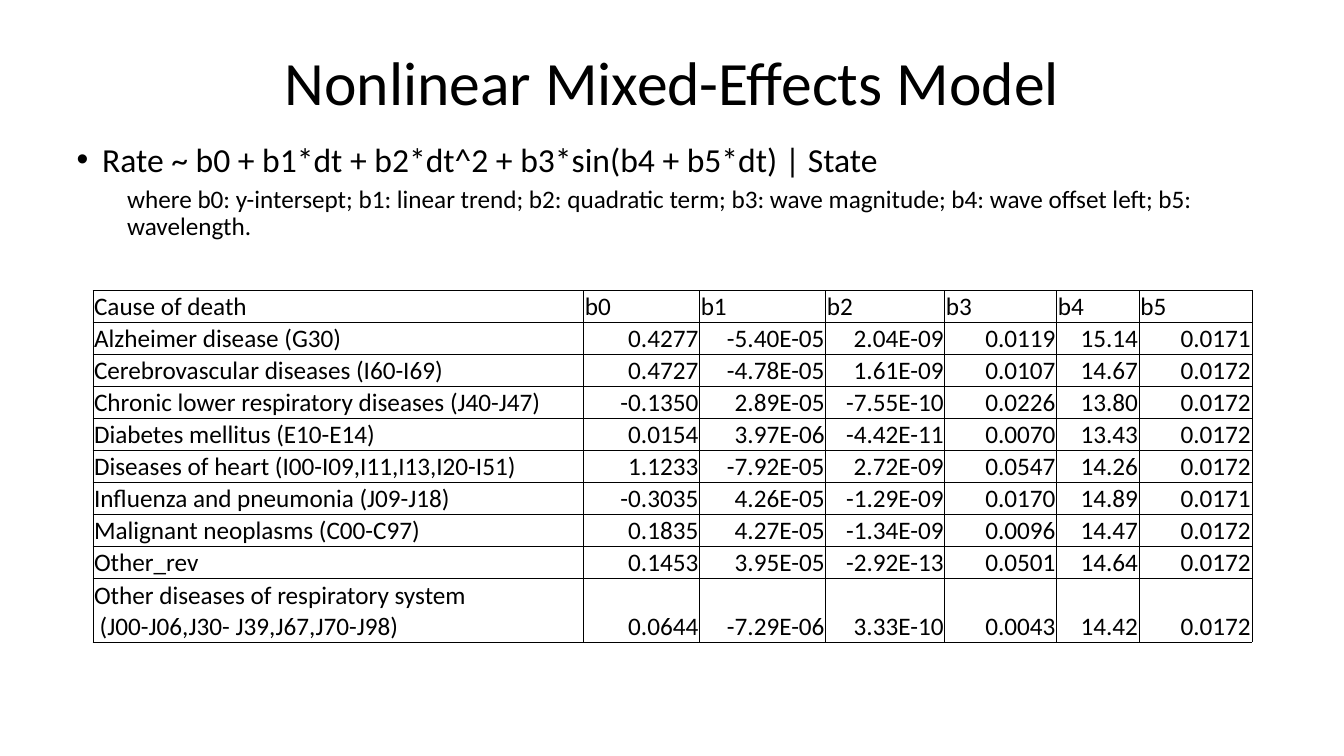
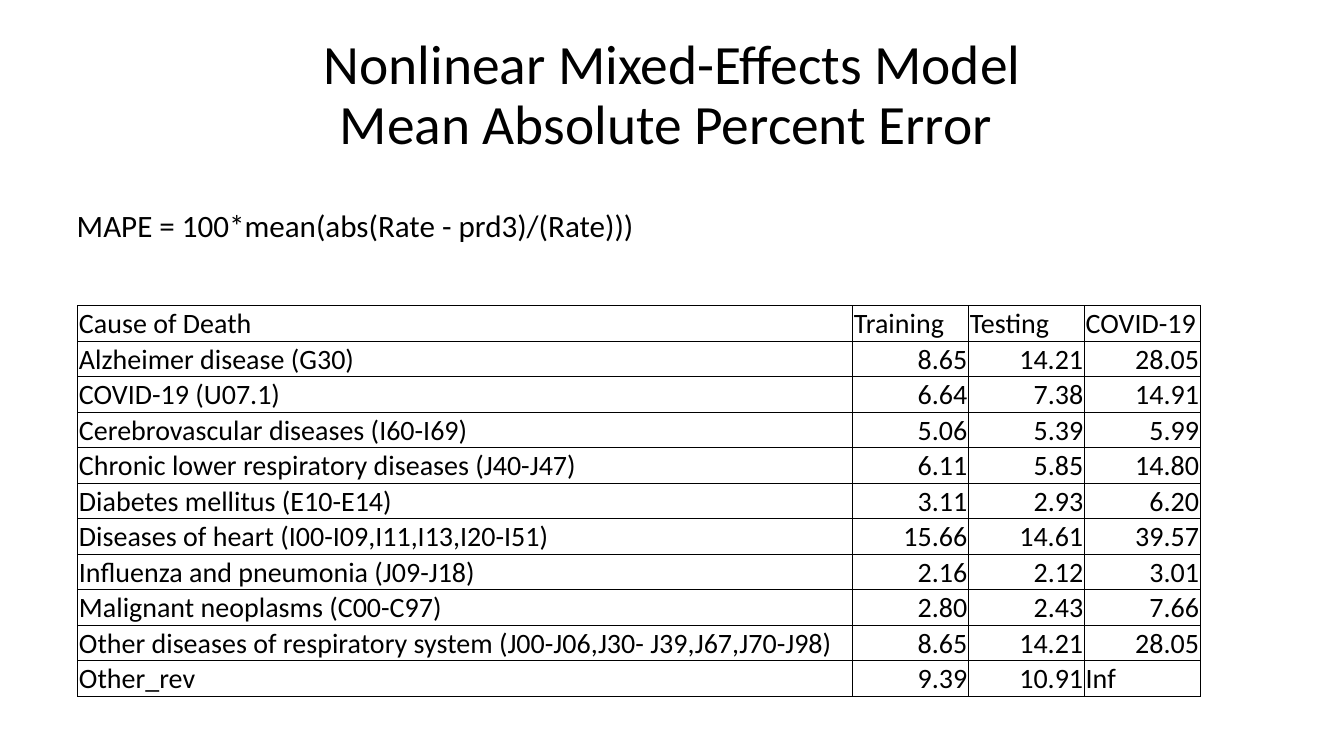
from dataclasses import dataclass

from lxml.etree import SubElement
from pptx import Presentation
from pptx.dml.color import RGBColor
from pptx.enum.text import MSO_ANCHOR as Anchor, MSO_AUTO_SIZE as AutoSize, PP_ALIGN as Align
from pptx.oxml import parse_xml
from pptx.oxml.ns import nsdecls, qn
from pptx.presentation import Presentation as Deck
from pptx.shapes.placeholder import SlidePlaceholder
from pptx.slide import Slide
from pptx.table import _Cell as Cell
from pptx.text.text import _Paragraph as Paragraph
from pptx.util import Cm, Pt


@dataclass(frozen=True)
class Theme:
    font: str = "Calibri"
    ink: str = "000000"
    title_size: float = 44
    long_title_size: float = 39.6
    bullet_size: float = 24
    formula_size: float = 22.2
    detail_size: float = 18
    wide_table_size: float = 18
    narrow_table_size: float = 20
    border_width: float = 0.5
    title_spacing: float = 0.9


THEME = Theme()


@dataclass(frozen=True)
class BodyLine:
    text: str
    size: float
    level: int = 0
    left: float = 0
    indent: float = 0
    bullet: str = ""
    line_spacing: float = 0.9
    space_before: float = 0


@dataclass(frozen=True)
class DataTable:
    left: float
    top: float
    columns: tuple[float, ...]
    line_height: float
    size: float
    rows: tuple[tuple[str, ...], ...]


@dataclass(frozen=True)
class ModelPage:
    title: str
    title_size: float
    title_height: float
    body_top: float
    body_height: float
    body: tuple[BodyLine, ...]
    table: DataTable


PAGES = (
    ModelPage(
        "Nonlinear Mixed-Effects Model", THEME.title_size, 2.29, 3.48, 3.18,
        (
            BodyLine("Rate ~ b0 + b1*dt + b2*dt^2 + b3*sin(b4 + b5*dt) | State",
                     THEME.bullet_size, left=0.64, indent=-0.64, bullet="•"),
            BodyLine("where b0: y-intersept; b1: linear trend; b2: quadratic term; "
                     "b3: wave magnitude; b4: wave offset left; b5: wavelength.",
                     THEME.detail_size, level=1, left=1.27, space_before=5),
        ),
        DataTable(2.34, 7.32, (12.37, 2.92, 3.18, 3, 2.82, 2.08, 2.84), 0.8, THEME.wide_table_size, (
            ("Cause of death", "b0", "b1", "b2", "b3", "b4", "b5"),
            ("Alzheimer disease (G30)",
             "0.4277", "-5.40E-05", "2.04E-09", "0.0119", "15.14", "0.0171"),
            ("Cerebrovascular diseases (I60-I69)",
             "0.4727", "-4.78E-05", "1.61E-09", "0.0107", "14.67", "0.0172"),
            ("Chronic lower respiratory diseases (J40-J47)",
             "-0.1350", "2.89E-05", "-7.55E-10", "0.0226", "13.80", "0.0172"),
            ("Diabetes mellitus (E10-E14)",
             "0.0154", "3.97E-06", "-4.42E-11", "0.0070", "13.43", "0.0172"),
            ("Diseases of heart (I00-I09,I11,I13,I20-I51)",
             "1.1233", "-7.92E-05", "2.72E-09", "0.0547", "14.26", "0.0172"),
            ("Influenza and pneumonia (J09-J18)",
             "-0.3035", "4.26E-05", "-1.29E-09", "0.0170", "14.89", "0.0171"),
            ("Malignant neoplasms (C00-C97)",
             "0.1835", "4.27E-05", "-1.34E-09", "0.0096", "14.47", "0.0172"),
            ("Other_rev",
             "0.1453", "3.95E-05", "-2.92E-13", "0.0501", "14.64", "0.0172"),
            ("Other diseases of respiratory system\n (J00-J06,J30- J39,J67,J70-J98)",
             "0.0644", "-7.29E-06", "3.33E-10", "0.0043", "14.42", "0.0172"),
        )),
    ),
    ModelPage(
        "Nonlinear Mixed-Effects Model\vMean Absolute Percent Error ",
        THEME.long_title_size, 2.82, 5.26, 1.07,
        (BodyLine("MAPE = 100*mean(abs(Rate - prd3)/(Rate)))",
                  THEME.formula_size, line_spacing=0.8),),
        DataTable(1.96, 7.7, (19.53, 2.92, 2.92, 2.92), 0.89, THEME.narrow_table_size, (
            ("Cause of Death", "Training", "Testing", "COVID-19"),
            ("Alzheimer disease (G30)", "8.65", "14.21", "28.05"),
            ("COVID-19 (U07.1)", "6.64", "7.38", "14.91"),
            ("Cerebrovascular diseases (I60-I69)", "5.06", "5.39", "5.99"),
            ("Chronic lower respiratory diseases (J40-J47)", "6.11", "5.85", "14.80"),
            ("Diabetes mellitus (E10-E14)", "3.11", "2.93", "6.20"),
            ("Diseases of heart (I00-I09,I11,I13,I20-I51)", "15.66", "14.61", "39.57"),
            ("Influenza and pneumonia (J09-J18)", "2.16", "2.12", "3.01"),
            ("Malignant neoplasms (C00-C97)", "2.80", "2.43", "7.66"),
            ("Other diseases of respiratory system (J00-J06,J30- J39,J67,J70-J98)",
             "8.65", "14.21", "28.05"),
            ("Other_rev", "9.39", "10.91", "Inf"),
        )),
    ),
)


def set_font(para: Paragraph, size: float) -> None:
    para.font.name = THEME.font
    para.font.size = Pt(size)
    para.font.color.rgb = RGBColor.from_string(THEME.ink)


def place(box: SlidePlaceholder, left: float, top: float, width: float, height: float) -> None:
    box.left, box.top, box.width, box.height = Cm(left), Cm(top), Cm(width), Cm(height)
    box.text_frame.word_wrap = True
    box.text_frame.auto_size = AutoSize.NONE


def add_title(slide: Slide, page: ModelPage) -> None:
    box = slide.shapes.title
    place(box, 2.34, 1.02, 29.21, page.title_height)
    box.text_frame.vertical_anchor = Anchor.MIDDLE
    para = box.text_frame.paragraphs[0]
    para.text = page.title
    para.alignment = Align.CENTER
    para.line_spacing = THEME.title_spacing
    set_font(para, page.title_size)


def set_bullet(para: Paragraph, line: BodyLine) -> None:
    properties = para._p.get_or_add_pPr()
    properties.set("marL", str(Cm(line.left)))
    properties.set("indent", str(Cm(line.indent)))
    if line.bullet:
        SubElement(properties, qn("a:buChar")).set("char", line.bullet)
    else:
        SubElement(properties, qn("a:buNone"))


def add_body(slide: Slide, page: ModelPage) -> None:
    box = slide.placeholders[1]
    place(box, 1.68, page.body_top, 29.87, page.body_height)
    frame = box.text_frame
    for number, line in enumerate(page.body):
        para = frame.add_paragraph() if number else frame.paragraphs[0]
        para.text = line.text
        para.level = line.level
        set_bullet(para, line)
        para.line_spacing = line.line_spacing
        para.space_before = Pt(line.space_before)
        set_font(para, line.size)


def add_borders(cell: Cell) -> None:
    properties = cell._tc.get_or_add_tcPr()
    for position, side in enumerate(("lnL", "lnR", "lnT", "lnB")):
        properties.insert(position, parse_xml(
            f'<a:{side} {nsdecls("a")} w="{Pt(THEME.border_width)}"><a:solidFill>'
            f'<a:srgbClr val="{THEME.ink}"/></a:solidFill></a:{side}>'))


def fill_cell(cell: Cell, text: str, size: float, is_number: bool) -> None:
    cell.text = text
    cell.vertical_anchor = Anchor.BOTTOM
    cell.margin_left = cell.margin_right = cell.margin_top = Cm(0.03)
    cell.margin_bottom = 0
    cell.fill.background()
    add_borders(cell)
    for para in cell.text_frame.paragraphs:
        para.alignment = Align.RIGHT if is_number else Align.LEFT
        set_font(para, size)


def add_data_table(slide: Slide, data: DataTable) -> None:
    line_counts = [1 + row[0].count("\n") for row in data.rows]
    table = slide.shapes.add_table(
        len(data.rows), len(data.columns), Cm(data.left), Cm(data.top),
        Cm(sum(data.columns)), Cm(data.line_height * sum(line_counts))).table
    table.first_row = table.horz_banding = False
    for column, width in zip(table.columns, data.columns):
        column.width = Cm(width)
    for row_number, values in enumerate(data.rows):
        table.rows[row_number].height = Cm(data.line_height * line_counts[row_number])
        for column_number, text in enumerate(values):
            is_number = row_number > 0 and column_number > 0 and text[-1].isdigit()
            fill_cell(table.cell(row_number, column_number), text, data.size, is_number)


def add_page(deck: Deck, page: ModelPage) -> None:
    slide = deck.slides.add_slide(deck.slide_layouts[1])
    add_title(slide, page)
    add_body(slide, page)
    add_data_table(slide, page.table)


def main() -> None:
    deck = Presentation()
    deck.slide_width, deck.slide_height = Cm(33.87), Cm(19.05)
    for page in PAGES:
        add_page(deck, page)
    deck.save("out.pptx")


if __name__ == "__main__":
    main()
